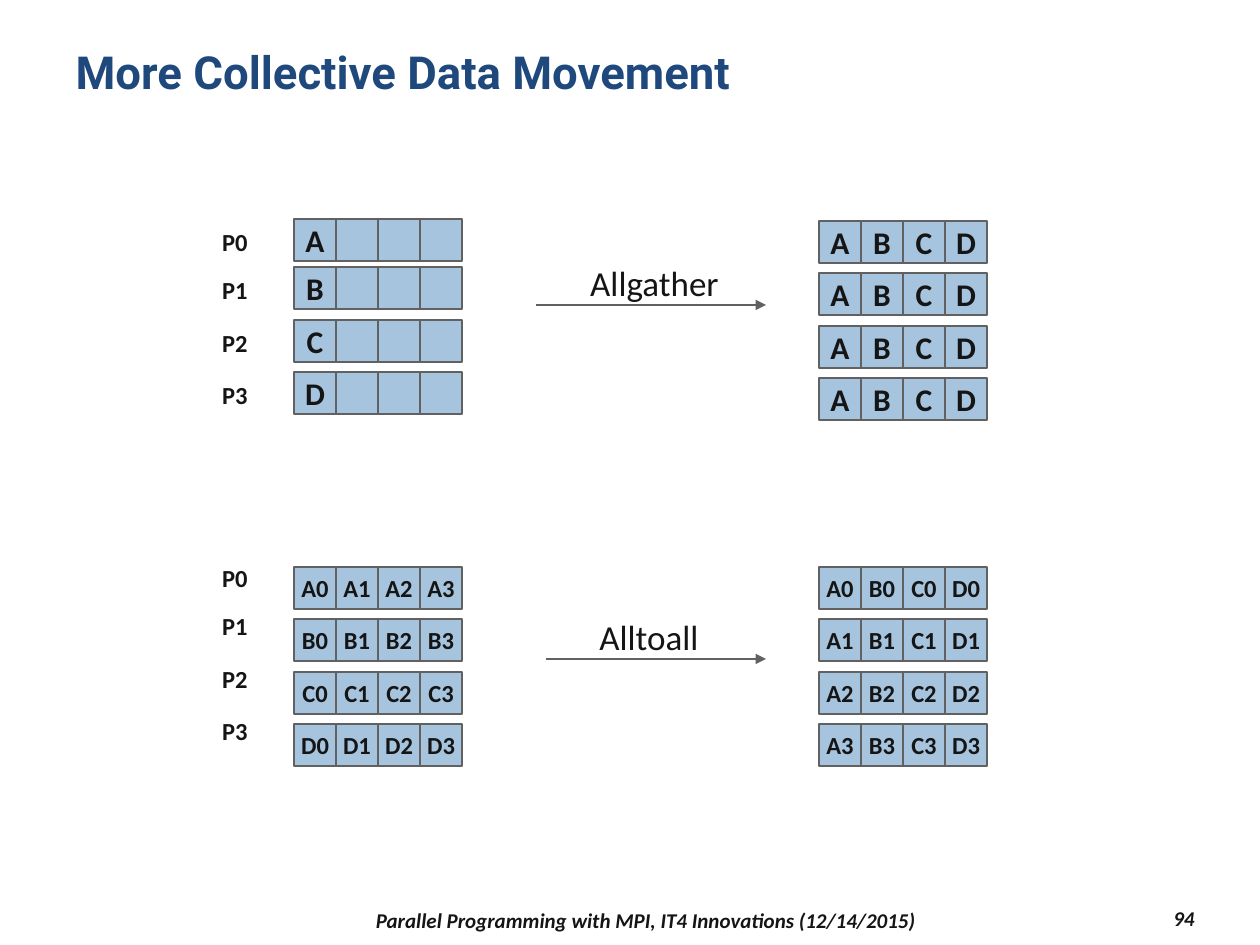
import dataclasses

import pptx
import pptx.dml.color
import pptx.enum.shapes
import pptx.enum.text
import pptx.oxml
import pptx.oxml.ns
import pptx.util

ALIGN = pptx.enum.text.PP_ALIGN
ANCHOR = pptx.enum.text.MSO_ANCHOR


@dataclasses.dataclass(frozen=True)
class Theme:
    title_font: str = "Roboto"
    body_font: str = "Calibri"
    title: str = "1F497D"
    ink: str = "151515"
    cell: str = "A6C4DE"
    line: str = "616161"
    title_size: int = 26
    operation_size: int = 20
    letter_size: int = 18
    label_size: int = 14
    footer_size: int = 12


def rgb(value):
    return pptx.dml.color.RGBColor.from_string(value)


def px(value):
    return pptx.util.Emu(round(value * 914400 / 126))


class Deck:
    def __init__(self, theme):
        self.theme = theme
        self.prs = pptx.Presentation()
        self.prs.slide_width, self.prs.slide_height = px(1260), px(945)
        self.s = None

    def add_slide(self):
        self.s = self.prs.slides.add_slide(self.prs.slide_layouts[5])

    def set_text(self, sp, text, size, align=ALIGN.CENTER, anchor=ANCHOR.MIDDLE,
                 wrap=False, bold=True, italic=False, font=None, color=None):
        tf = sp.text_frame
        tf.text = text
        tf.word_wrap = wrap
        tf.auto_size = pptx.enum.text.MSO_AUTO_SIZE.NONE
        tf.vertical_anchor = anchor
        p = tf.paragraphs[0]
        p.alignment = align
        for r in p.runs:
            r.font.name = font or self.theme.body_font
            r.font.size = pptx.util.Pt(size)
            r.font.bold, r.font.italic = bold, italic
            r.font.color.rgb = rgb(color or self.theme.ink)

    def title(self, text, x, y, w, h):
        sp = self.s.shapes.title
        sp.left, sp.top, sp.width, sp.height = map(px, (x, y, w, h))
        self.set_text(sp, text, self.theme.title_size, ALIGN.LEFT, ANCHOR.TOP, wrap=True,
                      font=self.theme.title_font, color=self.theme.title)

    def text(self, text, x, y, w, h, size, **style):
        sp = self.s.shapes.add_textbox(*map(px, (x, y, w, h)))
        self.set_text(sp, text, size, **style)

    def cell(self, text, x, y, side, size):
        sp = self.s.shapes.add_shape(
            pptx.enum.shapes.MSO_SHAPE.RECTANGLE, *map(px, (x, y, side, side)))
        sp.shadow.inherit = False
        sp.fill.solid()
        sp.fill.fore_color.rgb = rgb(self.theme.cell)
        sp.line.color.rgb = rgb(self.theme.line)
        sp.line.width = pptx.util.Pt(1)
        if text:
            self.set_text(sp, text, size)

    def grid(self, rows, x, tops, size, side=42):
        for row, y in zip(rows, tops):
            for col, text in enumerate(row):
                self.cell(text, x + col * side, y, side, size)

    def arrow(self, x1, x2, y):
        c = self.s.shapes.add_connector(
            pptx.enum.shapes.MSO_CONNECTOR.STRAIGHT, *map(px, (x1, y, x2, y)))
        c.line.color.rgb = rgb(self.theme.line)
        c.line.width = pptx.util.Pt(1)
        ns = pptx.oxml.ns.nsdecls("a")
        ln = c.line.get_or_add_ln() if hasattr(c.line, "get_or_add_ln") else c.get_or_add_ln()
        ln.append(pptx.oxml.parse_xml(f'<a:tailEnd {ns} type="triangle"/>'))
        ln.addnext(pptx.oxml.parse_xml(f"<a:effectLst {ns}/>"))

    def labels(self, x, tops):
        for rank, y in enumerate(tops):
            self.text(f"P{rank}", x, y, 52, 43, self.theme.label_size, anchor=ANCHOR.TOP)

    def operation(self, text, x, y, w, arrow_start):
        self.text(text, x, y, w, 54, self.theme.operation_size,
                  anchor=ANCHOR.TOP, bold=False)
        self.arrow(arrow_start, 766, y + 50)


def even_rows(top):
    return [top + i * 105 // 2 for i in range(4)]


def label_rows(top):
    return [top + offset for offset in (0, 48, 101, 153)]


def main():
    theme = Theme()
    deck = Deck(theme)
    deck.add_slide()
    deck.title("More Collective Data Movement", 63, 38, 1134, 110)

    left, right, label_left = 294, 819, 209
    letters = "ABCD"
    scattered = [[letter, "", "", ""] for letter in letters]
    gathered = [letters] * 4
    blocks = [[f"{letter}{i}" for i in range(4)] for letter in letters]
    transposed = list(zip(*blocks))

    deck.grid(scattered, left, label_rows(219), theme.letter_size)
    deck.grid(gathered, right, even_rows(221), theme.letter_size)
    deck.grid(blocks, left, even_rows(567), theme.label_size)
    deck.grid(transposed, right, even_rows(567), theme.label_size)

    deck.operation("Allgather", 576, 255, 157, 536)
    deck.operation("Alltoall", 586, 609, 126, 546)
    deck.labels(label_left, label_rows(221))
    deck.labels(label_left, label_rows(557))

    deck.text("Parallel Programming with MPI, IT4 Innovations (12/14/2015)",
              273, 903, 746, 34, theme.footer_size, wrap=True, italic=True)
    deck.text("94", 1071, 901, 136, 34, theme.footer_size,
              align=ALIGN.RIGHT, wrap=True, italic=True)
    deck.prs.save("out.pptx")


if __name__ == "__main__":
    main()
